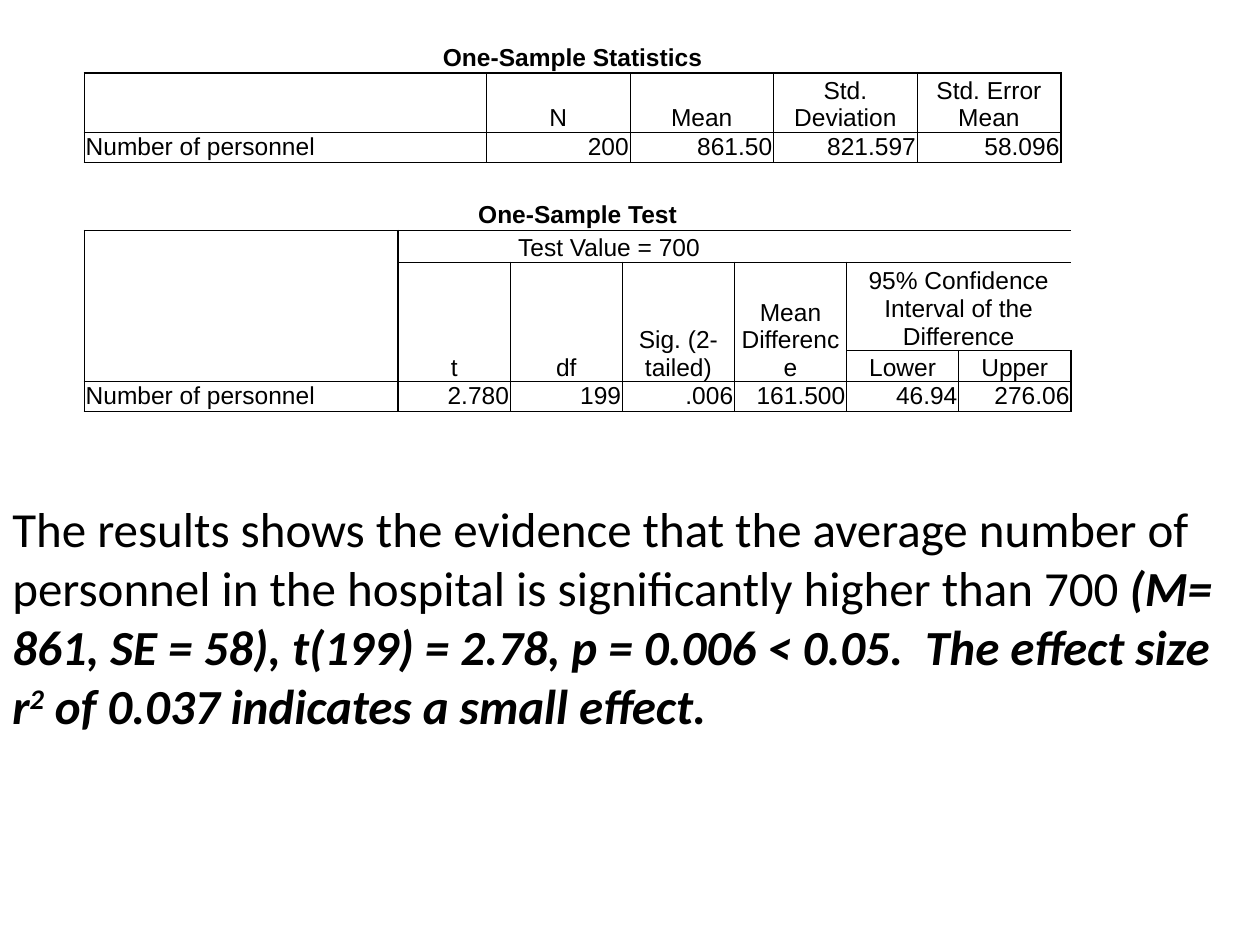
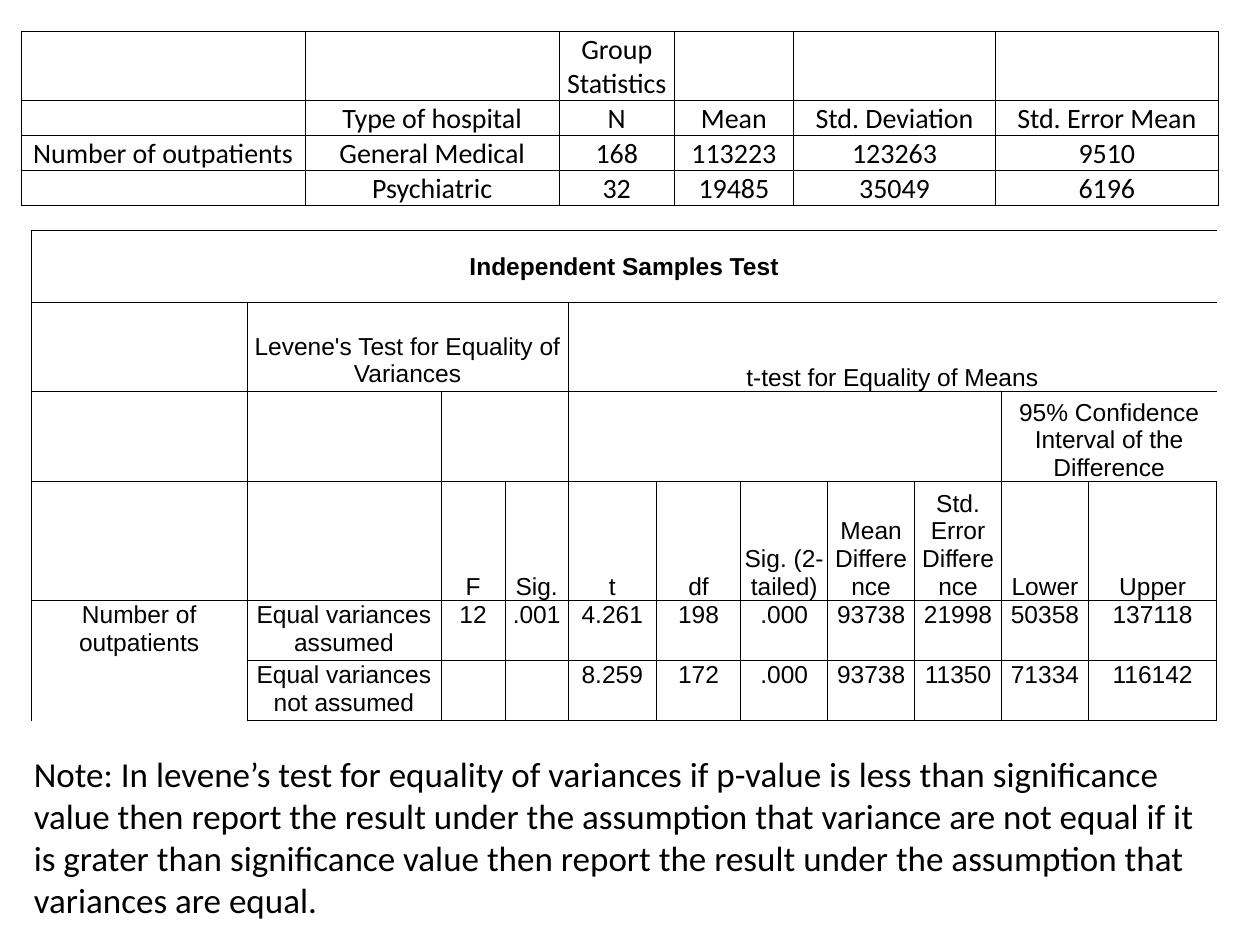
from lxml import etree
from pptx import Presentation
from pptx.dml.color import RGBColor
from pptx.enum.text import MSO_ANCHOR, MSO_AUTO_SIZE, PP_ALIGN
from pptx.oxml.ns import qn
from pptx.util import Inches, Pt

BLACK = RGBColor(0, 0, 0)
LEFT, MID, RIGHT = PP_ALIGN.LEFT, PP_ALIGN.CENTER, PP_ALIGN.RIGHT
TOP, CENTRE, BOTTOM = MSO_ANCHOR.TOP, MSO_ANCHOR.MIDDLE, MSO_ANCHOR.BOTTOM
SIDES = ("a:lnL", "a:lnR", "a:lnT", "a:lnB")
INSET = {"margin_left": 0.01, "margin_right": 0.01, "margin_top": 0.01, "margin_bottom": 0}


def put(item, form):
    for name, value in form.items():
        setattr(item, name, value)


def add_run(para, text, size, face, **form):
    run = para.add_run()
    run.text = text
    put(run.font, {"size": Pt(size), "name": face, **form})
    run.font.color.rgb = BLACK
    return run


def rule_cell(cell, weights):
    """Draw left, right, top and bottom lines; a weight of 0 means no line."""
    props = cell._tc.get_or_add_tcPr()
    for side, weight in zip(SIDES, weights):
        line = etree.SubElement(props, qn(side), w=str(Pt(weight)))
        if weight:
            fill = etree.SubElement(line, qn("a:solidFill"))
            etree.SubElement(fill, qn("a:srgbClr"), val=str(BLACK))
        else:
            etree.SubElement(line, qn("a:noFill"))


def thin_grid(row, col, last, end):
    return (0.5,) * 4


def report_grid(row, col, last, end):
    """Heavy frame and heads, thin inner lines, bare title, open corner."""
    if row == 0:
        return 0, 0, 0, 1
    left = 1 if col <= 1 else 0.5
    right = 1 if col in (0, end) else 0.5
    top = 1 if row in (1, last) else 0.5
    bottom = 1 if row >= last - 1 else 0.5
    if col == 0:
        top, bottom = int(row in (1, last)), int(row >= last - 1)
    return left, right, top, bottom


def add_grid(slide, x, y, cols, heights, rows, grid=thin_grid, spans=(), title=True,
             heads=1, aligns=(MID, MID), size=14, face="Arial", insets=None):
    """aligns holds the body alignment of the first and the other columns."""
    last, end = len(heights) - 1, len(cols) - 1
    frame = slide.shapes.add_table(last + 1, end + 1, Inches(x), Inches(y),
                                   Inches(sum(cols)), Inches(sum(heights)))
    table = frame.table
    put(table, {"first_row": False, "horz_banding": False})
    for col, width in zip(table.columns, cols):
        col.width = Inches(width)
    for row, height in zip(table.rows, heights):
        row.height = Inches(height)

    # Merged areas, looked up by each cell they cover
    area = {}
    for r1, c1, r2, c2 in spans:
        table.cell(r1, c1).merge(table.cell(r2, c2))
        for r in range(r1, r2 + 1):
            for c in range(c1, c2 + 1):
                area[r, c] = r1, c1, r2, c2

    for r in range(last + 1):
        for c in range(end + 1):
            cell = table.cell(r, c)
            r1, c1, r2, c2 = area.get((r, c), (r, c, r, c))
            shown = c == c1, c == c2, r == r1, r == r2
            rule_cell(cell, [w * s for w, s in zip(grid(r, c, last, end), shown)])
            cell.fill.background()
            top_row = title and r == 0
            margins = {**INSET, **(insets or {}).get((r, c), {})}
            put(cell, {name: Inches(value) for name, value in margins.items()})
            anchor = CENTRE if top_row else BOTTOM if r < heads else TOP
            cell.vertical_anchor = anchor
            para = cell.text_frame.paragraphs[0]
            para.alignment = MID if r < heads else aligns[c > 0]
            text = rows[r][c] if c < len(rows[r]) else ""
            if text:
                add_run(para, text, size, face, bold=top_row)
            else:
                etree.SubElement(para._p, qn("a:endParaRPr"), sz=str(size * 100))


def add_note(slide, x, y, width, height, size, parts):
    box = slide.shapes.add_textbox(Inches(x), Inches(y), Inches(width), Inches(height))
    frame = box.text_frame
    put(frame, {"word_wrap": True, "auto_size": MSO_AUTO_SIZE.SHAPE_TO_FIT_TEXT})
    for text, form, raised in parts:
        run = add_run(frame.paragraphs[0], text, size, "Calibri", **form)
        if raised:
            run._r.get_or_add_rPr().set("baseline", "30000")


def one_sample(slide):
    report = {"grid": report_grid, "aligns": (LEFT, RIGHT)}
    # Sample statistics
    add_grid(slide, 0.67, 0.33, [3.19] + [1.14] * 4, [0.25, 0.47, 0.24], [
        ["One-Sample Statistics"],
        ["", "N", "Mean", "Std. Deviation", "Std. Error Mean"],
        ["Number of personnel", "200", "861.50", "821.597", "58.096"],
    ], spans=[(0, 0, 0, 4)], heads=2, **report)
    # Test against 700
    pairs = [(2, c, 3, c) for c in range(1, 5)]
    add_grid(slide, 0.67, 1.58, [2.49] + [0.89] * 6, [0.25, 0.25, 0.7, 0.24, 0.24], [
        ["One-Sample Test"],
        ["", "Test Value = 700"],
        ["", "t", "df", "Sig. (2-tailed)", "Mean Difference",
         "95% Confidence Interval of the Difference"],
        ["", "", "", "", "", "Lower", "Upper"],
        ["Number of personnel", "2.780", "199", ".006", "161.500", "46.94", "276.06"],
    ], spans=[(0, 0, 0, 6), (1, 1, 1, 6), (2, 5, 2, 6)] + pairs, heads=4,
        insets={(1, 1): {"margin_right": 2}}, **report)
    # Finding
    strong = {"bold": True, "italic": True}
    add_note(slide, 0, 3.91, 10, 1.99, 28, [
        ("The results shows the evidence that the average number of personnel "
         "in the hospital is significantly higher than 700 ", {}, False),
        ("(M= 861, SE = 58), t(199) = 2.78, p = 0.006 < 0.05.  The effect size r",
         strong, False),
        ("2", strong, True),
        (" of 0.037 indicates a small effect.", strong, False),
    ])


def two_groups(slide):
    # Group statistics
    add_grid(slide, 0.17, 0.25, [2.25, 2.02, 0.91, 0.95, 1.6, 1.77], [0.55] + [0.27] * 3, [
        ["", "", "Group Statistics"],
        ["", "Type of hospital", "N", "Mean", "Std. Deviation", "Std. Error Mean"],
        ["Number of outpatients", "General Medical", "168", "113223", "123263", "9510"],
        ["", "Psychiatric", "32", "19485", "35049", "6196"],
    ], title=False, heads=4, size=16, face="Calibri")
    # Independent samples
    add_grid(slide, 0.25, 1.83, [1.71, 1.54, 0.51, 0.5, 0.7, 0.67] + [0.69] * 4 + [1.02],
             [0.57, 0.71, 0.71, 0.94, 0.47, 0.47], [
        ["Independent Samples Test"],
        ["", "Levene's Test for Equality of Variances", "", "",
         "t-test for Equality of Means"],
        [""] * 9 + ["95% Confidence Interval of the Difference"],
        ["", "", "F", "Sig.", "t", "df", "Sig. (2-tailed)", "Mean Difference",
         "Std. Error Difference", "Lower", "Upper"],
        ["Number of outpatients", "Equal variances assumed", "12", ".001", "4.261",
         "198", ".000", "93738", "21998", "50358", "137118"],
        ["", "Equal variances not assumed", "", "", "8.259",
         "172", ".000", "93738", "11350", "71334", "116142"],
    ], spans=[(0, 0, 0, 10), (1, 1, 1, 3), (1, 4, 1, 10), (2, 2, 2, 3),
              (2, 4, 2, 8), (2, 9, 2, 10), (4, 0, 5, 0)],
        heads=4, insets={(1, 1): {"margin_bottom": 0.03}})
    # Reading rule
    add_note(slide, 0.17, 5.92, 9.5, 1.45, 20, [
        ("Note: In levene’s test for equality of variances if p-value is less than "
         "significance value then report the result under the assumption that variance "
         "are not equal if it is grater than significance value then report the result "
         "under the assumption that variances are equal.", {}, False),
    ])


def main():
    deck = Presentation()
    put(deck, {"slide_width": Inches(10), "slide_height": Inches(7.5)})
    for build in (one_sample, two_groups):
        build(deck.slides.add_slide(deck.slide_layouts[6]))
    deck.save("out.pptx")


if __name__ == "__main__":
    main()
